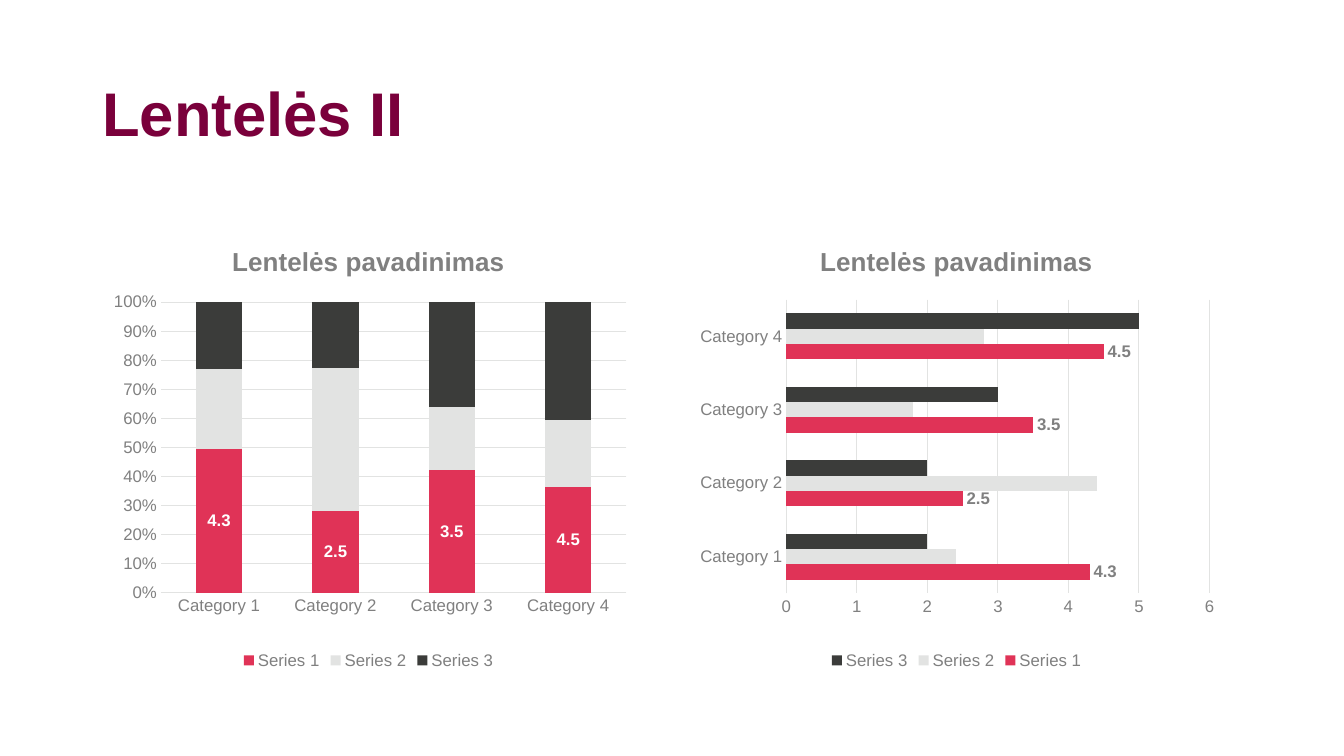
"""Build a slide with a title and two bar charts of the same data."""
from dataclasses import dataclass

from lxml import etree
from pptx import Presentation
from pptx.chart.axis import _BaseAxis
from pptx.chart.chart import Chart
from pptx.chart.data import CategoryChartData
from pptx.dml.color import RGBColor
from pptx.enum.chart import XL_CHART_TYPE, XL_LABEL_POSITION, XL_LEGEND_POSITION, XL_TICK_MARK
from pptx.enum.text import MSO_ANCHOR
from pptx.oxml.ns import qn
from pptx.slide import Slide
from pptx.text.text import Font
from pptx.util import Pt

FONT = "Arial"
COLORS = {
    "wine": "7A003B",
    "red": "E03357",
    "light": "E2E3E2",
    "dark": "3B3C3A",
    "grey": "808080",
    "white": "FFFFFF",
}
CATEGORIES = ["Category 1", "Category 2", "Category 3", "Category 4"]


@dataclass
class Series:
    name: str
    values: tuple[float, ...]
    color: str


@dataclass
class ChartSpec:
    left: float
    kind: XL_CHART_TYPE
    gap: int
    plot: tuple[float, float, float, float]
    number_format: str
    label_color: str
    label_position: XL_LABEL_POSITION


SERIES = [
    Series("Series 1", (4.3, 2.5, 3.5, 4.5), "red"),
    Series("Series 2", (2.4, 4.4, 1.8, 2.8), "light"),
    Series("Series 3", (2, 2, 3, 5), "dark"),
]
CHARTS = [
    ChartSpec(66, XL_CHART_TYPE.COLUMN_STACKED_100, 150, (0.124, 0.173, 0.843, 0.648),
              "0%", "white", XL_LABEL_POSITION.CENTER),
    ChartSpec(486, XL_CHART_TYPE.BAR_CLUSTERED, 182, (0.192, 0.167, 0.766, 0.655),
              "General", "grey", XL_LABEL_POSITION.OUTSIDE_END),
]


def rgb(name: str) -> RGBColor:
    return RGBColor.from_string(COLORS[name])


def style(font: Font, size: float, color: str, bold: bool = False) -> None:
    font.name = FONT
    font.size = Pt(size)
    font.bold = bold
    font.color.rgb = rgb(color)


def style_axis(axis: _BaseAxis) -> None:
    axis.major_tick_mark = XL_TICK_MARK.NONE
    axis.minor_tick_mark = XL_TICK_MARK.NONE
    style(axis.tick_labels.font, 12, "grey")


def place_plot(chart: Chart, box: tuple[float, float, float, float]) -> None:
    area = chart._chartSpace.chart.plotArea
    for old in area.findall(qn("c:layout")):
        area.remove(old)
    layout = etree.Element(qn("c:layout"))
    area.insert(0, layout)
    manual = etree.SubElement(layout, qn("c:manualLayout"))
    settings = [("layoutTarget", "inner"), ("xMode", "edge"), ("yMode", "edge")]
    settings += zip("xywh", map(str, box))
    for tag, value in settings:
        etree.SubElement(manual, qn(f"c:{tag}")).set("val", value)


def add_bar_chart(s: Slide, spec: ChartSpec) -> None:
    data = CategoryChartData()
    data.categories = CATEGORIES
    for series in SERIES:
        data.add_series(series.name, series.values)
    frame = s.shapes.add_chart(spec.kind, Pt(spec.left), Pt(160.5), Pt(394.5), Pt(320.5), data)
    chart = frame.chart
    style(chart.font, 10, "wine")

    chart.has_title = True
    tf = chart.chart_title.text_frame
    tf.text = "Lentelės pavadinimas"
    style(tf.paragraphs[0].runs[0].font, 18.6, "grey", bold=True)
    chart.chart_title.include_in_layout = False

    chart.has_legend = True
    chart.legend.position = XL_LEGEND_POSITION.BOTTOM
    chart.legend.include_in_layout = False
    style(chart.legend.font, 12, "grey")

    style_axis(chart.category_axis)
    axis_line = chart.category_axis.format.line
    value_axis = chart.value_axis
    style_axis(value_axis)
    value_axis.format.line.fill.background()
    value_axis.has_major_gridlines = True
    for line in (axis_line, value_axis.major_gridlines.format.line):
        line.color.rgb = rgb("light")
        line.width = Pt(0.75)
    value_axis.tick_labels.number_format = spec.number_format
    value_axis.tick_labels.number_format_is_linked = False

    plot = chart.plots[0]
    plot.gap_width = spec.gap
    plot.vary_by_categories = False
    for bars, series in zip(plot.series, SERIES):
        bars.format.fill.solid()
        bars.format.fill.fore_color.rgb = rgb(series.color)
        bars.invert_if_negative = False
    labels = plot.series[0].data_labels
    labels.show_value = True
    labels.position = spec.label_position
    style(labels.font, 12, spec.label_color, bold=True)
    place_plot(chart, spec.plot)


def add_title(s: Slide, text: str) -> None:
    tf = s.shapes.add_textbox(Pt(66), Pt(56), Pt(703.5), Pt(104.5)).text_frame
    tf.word_wrap = True
    tf.vertical_anchor = MSO_ANCHOR.TOP
    tf.text = text
    p = tf.paragraphs[0]
    p.line_spacing = 0.9
    style(p.runs[0].font, 44, "wine", bold=True)


def main() -> None:
    prs = Presentation()
    prs.slide_width, prs.slide_height = Pt(960), Pt(540)
    s = prs.slides.add_slide(prs.slide_layouts[6])
    for spec in CHARTS:
        add_bar_chart(s, spec)
    add_title(s, "Lentelės II")
    prs.save("out.pptx")


if __name__ == "__main__":
    main()
